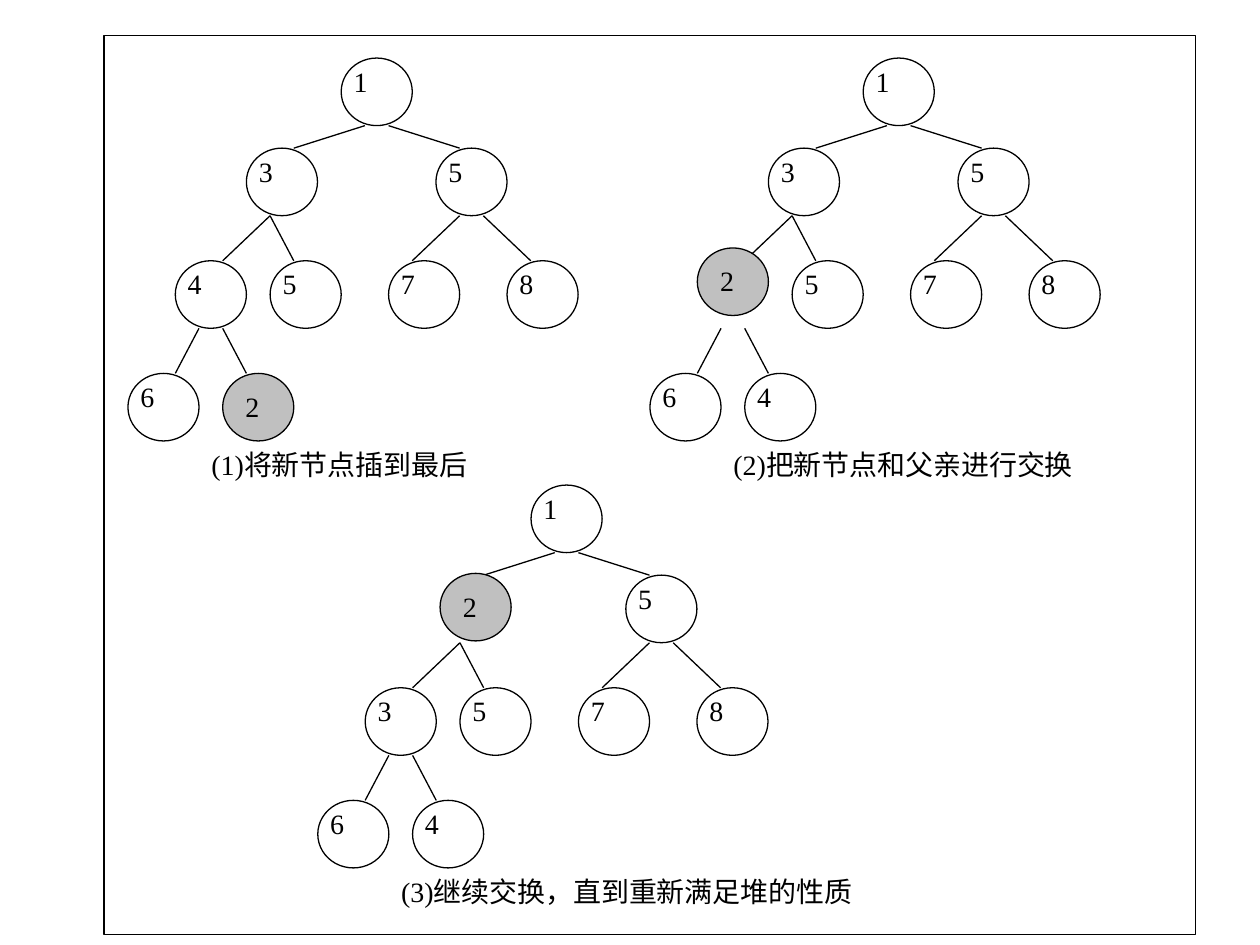
from dataclasses import dataclass

from lxml import etree
from pptx import Presentation
from pptx.dml.color import RGBColor
from pptx.enum import shapes, text
from pptx.oxml import ns
from pptx.util import Pt


@dataclass
class Theme:
    ink: RGBColor = RGBColor(0, 0, 0)
    paper: RGBColor = RGBColor(255, 255, 255)
    accent: RGBColor = RGBColor(192, 192, 192)
    font: str = "Times New Roman"
    size: float = 16
    line: float = 0.75


class HeapSlide:
    STEP_X, STEP_Y = 13.54, 12.87

    def __init__(self, slide, theme):
        self.s = slide
        self.theme = theme
        self.origin = (0, 0)

    def at(self, x, y):
        left, top = self.origin
        return Pt(left + x * self.STEP_X), Pt(top + y * self.STEP_Y)

    def size(self, w, h):
        return Pt(w * self.STEP_X), Pt(h * self.STEP_Y)

    def outline(self, line):
        line.color.rgb = self.theme.ink
        line.width = Pt(self.theme.line)

    def put_text(self, sp, words):
        tf = sp.text_frame
        frame = {"word_wrap": True, "vertical_anchor": text.MSO_ANCHOR.TOP,
                 "margin_left": Pt(7.2), "margin_right": Pt(7.2),
                 "margin_top": Pt(3.6), "margin_bottom": Pt(3.6)}
        for name, value in frame.items():
            setattr(tf, name, value)
        p = tf.paragraphs[0]
        p.alignment = text.PP_ALIGN.JUSTIFY
        r = p.add_run()
        r.text = words
        for name, value in {"name": self.theme.font, "size": Pt(self.theme.size)}.items():
            setattr(r.font, name, value)
        r.font.color.rgb = self.theme.ink

    def frame(self, left, top, width, height):
        sp = self.s.shapes.add_shape(shapes.MSO_SHAPE.RECTANGLE,
                                     Pt(left), Pt(top), Pt(width), Pt(height))
        sp.shadow.inherit = False
        sp.fill.background()
        self.outline(sp.line)

    def circle(self, x, y, fill):
        sp = self.s.shapes.add_shape(shapes.MSO_SHAPE.OVAL,
                                     *self.at(x, y), *self.size(3, 3))
        sp.shadow.inherit = False
        sp.fill.solid()
        sp.fill.fore_color.rgb = fill
        self.outline(sp.line)
        return sp

    def label(self, x, y, w, h, words):
        self.put_text(self.s.shapes.add_textbox(*self.at(x, y), *self.size(w, h)), words)

    def node(self, x, y, key):
        self.circle(x, y, self.theme.paper)
        self.label(x, y, 4, 4, key)

    def new_node(self, x, y, key):
        self.put_text(self.circle(x, y, self.theme.accent), key)

    def edge(self, x1, y1, x2, y2):
        c = self.s.shapes.add_connector(shapes.MSO_CONNECTOR.STRAIGHT,
                                        *self.at(x1, y1), *self.at(x2, y2))
        self.outline(c.line)
        etree.SubElement(c._element.spPr, ns.qn("a:effectLst"))

    def tree(self, origin, keys, new_at, caption, caption_width):
        self.origin = origin
        for (x, y), key in zip(NODES, keys):
            if key != NEW_KEY:
                self.node(x, y, key)
        for ends in EDGES:
            self.edge(*ends)
        self.new_node(*new_at, NEW_KEY)
        self.label(3, 17, caption_width, 3, caption)


NEW_KEY = "2"
NODES = [(9, 0), (5, 4), (13, 4), (2, 9), (6, 9), (11, 9), (16, 9), (0, 14), (4, 14)]
EDGES = [(7, 4, 10, 3), (11, 3, 14, 4),
         (4, 9, 6, 7), (6, 7, 7, 9), (12, 9, 14, 7), (15, 7, 17, 9),
         (2, 14, 3, 12), (4, 12, 5, 14)]
TREES = [
    ((73.1, 33.2), "135457862", (4, 14), "(1)将新节点插到最后", 15),
    ((371.4, 33.2), "135257864", (2, 8.43), "(2)把新节点和父亲进行交换", 16),
    ((181.6, 277.2), "125357864", (5.16, 3.92), "(3)继续交换，直到重新满足堆的性质", 23),
]


def main():
    prs = Presentation()
    prs.slide_width, prs.slide_height = Pt(720), Pt(540)
    heap = HeapSlide(prs.slides.add_slide(prs.slide_layouts[6]), Theme())
    heap.frame(59.5, 20.3, 623.7, 513.7)
    for tree in TREES:
        heap.tree(*tree)
    prs.save("out.pptx")


if __name__ == "__main__":
    main()
